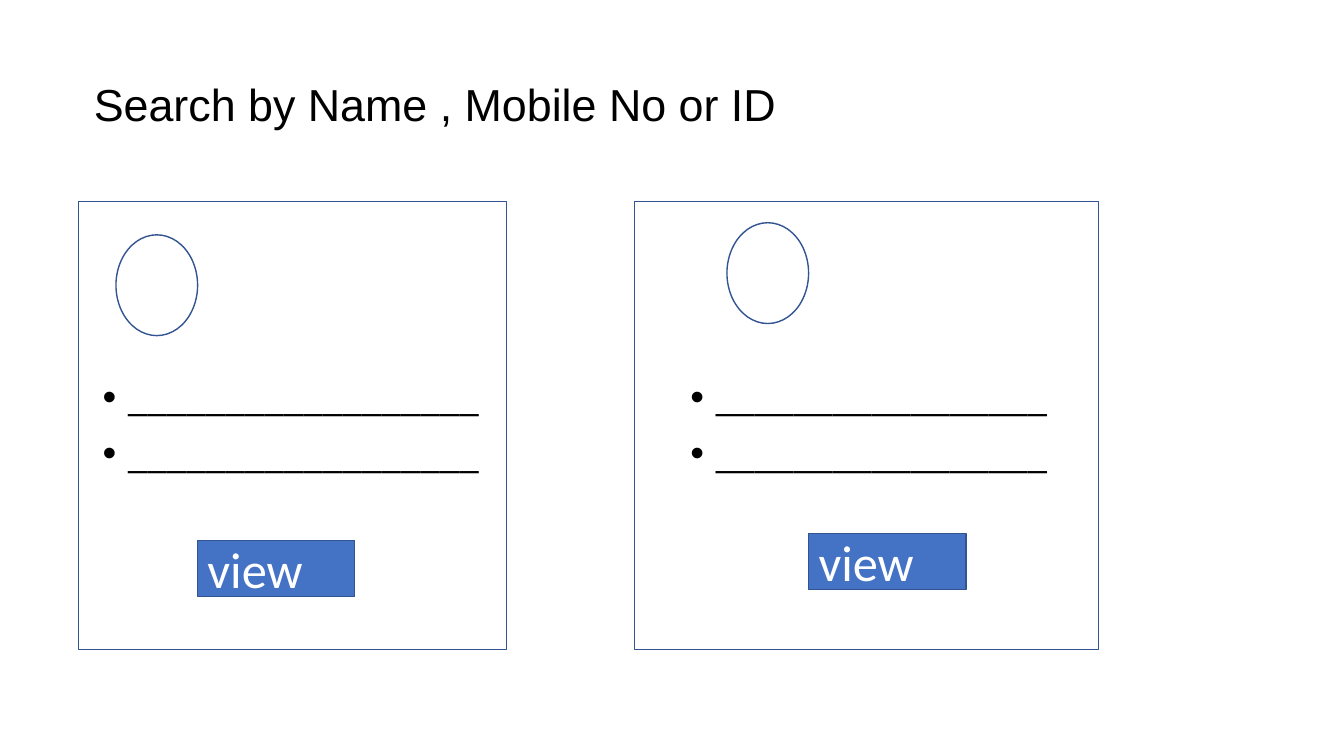
from dataclasses import dataclass

from lxml.etree import SubElement
from pptx import Presentation
from pptx.dml.color import RGBColor
from pptx.enum.shapes import MSO_SHAPE
from pptx.enum.text import MSO_ANCHOR, MSO_AUTO_SIZE, PP_ALIGN
from pptx.oxml.ns import qn
from pptx.util import Inches, Pt


@dataclass(frozen=True)
class Theme:
    ink: RGBColor = RGBColor(0x00, 0x00, 0x00)
    paper: RGBColor = RGBColor(0xFF, 0xFF, 0xFF)
    accent: RGBColor = RGBColor(0x44, 0x72, 0xC4)
    outline: RGBColor = RGBColor(0x32, 0x54, 0x91)
    heading_font: str = "Arial"
    body_font: str = "Calibri"
    title_size: int = 32
    list_size: int = 28
    button_size: int = 36


theme = Theme()


def add_text(para, text, font, size, color):
    para.alignment = PP_ALIGN.LEFT
    span = para.add_run()
    span.text = text
    for name, value in {"name": font, "size": Pt(size)}.items():
        setattr(span.font, name, value)
    span.font.color.rgb = color


def add_outlined(kind, place, fill, line_width):
    shape = page.shapes.add_shape(kind, *map(Inches, place))
    shape.shadow.inherit = False
    if fill is None:
        shape.fill.background()
    else:
        shape.fill.solid()
        shape.fill.fore_color.rgb = fill
    shape.line.color.rgb = theme.outline
    shape.line.width = Pt(line_width)
    return shape


deck = Presentation()
deck.slide_width, deck.slide_height = Inches(13.33), Inches(7.5)
page = deck.slides.add_slide(deck.slide_layouts[5])

# Title
title = page.shapes.title
title_place = {"left": 0.83, "top": 0.34, "width": 11.5, "height": 1.45}
for name, value in title_place.items():
    setattr(title, name, Inches(value))
title_format = {"vertical_anchor": MSO_ANCHOR.MIDDLE, "word_wrap": True,
                "auto_size": MSO_AUTO_SIZE.NONE}
for name, value in title_format.items():
    setattr(title.text_frame, name, value)
title_para = title.text_frame.paragraphs[0]
title_para.line_spacing = 0.9
add_text(title_para, "Search by Name , Mobile No or ID",
         theme.heading_font, theme.title_size, theme.ink)

# Result cards: frame left and width, list left, blank line, avatar and button corners
cards = [
    {"frame": (0.78, 4.24), "list": 0.92, "blank": "__________________",
     "avatar": (1.15, 2.33), "button": (1.96, 5.36)},
    {"frame": (6.29, 4.61), "list": 6.75, "blank": "_________________",
     "avatar": (7.21, 2.21), "button": (8.02, 5.29)},
]

for card in cards:
    # Bulleted blanks for the person's details
    box = page.shapes.add_textbox(Inches(card["list"]), Inches(3.7),
                                  Inches(5.67), Inches(3.06))
    box.text_frame.word_wrap = True
    for index in range(2):
        para = box.text_frame.paragraphs[0] if index == 0 else box.text_frame.add_paragraph()
        para.line_spacing = 0.9
        para.space_before = Pt(10)
        add_text(para, card["blank"], theme.body_font, theme.list_size, theme.ink)
        properties = para._p.get_or_add_pPr()
        properties.set("marL", str(Inches(0.25)))
        properties.set("indent", str(Inches(-0.25)))
        SubElement(properties, qn("a:buFont")).set("typeface", theme.heading_font)
        SubElement(properties, qn("a:buChar")).set("char", "•")

    # View button
    button = add_outlined(MSO_SHAPE.RECTANGLE, (*card["button"], 1.56, 0.56), theme.accent, 1)
    button.text_frame.vertical_anchor = MSO_ANCHOR.MIDDLE
    add_text(button.text_frame.paragraphs[0], "view",
             theme.body_font, theme.button_size, theme.paper)

    # Avatar and card frame
    add_outlined(MSO_SHAPE.FLOWCHART_CONNECTOR, (*card["avatar"], 0.81, 1), theme.paper, 1)
    frame_left, frame_width = card["frame"]
    add_outlined(MSO_SHAPE.RECTANGLE, (frame_left, 2, frame_width, 4.44), None, 0.75)

deck.save("out.pptx")
